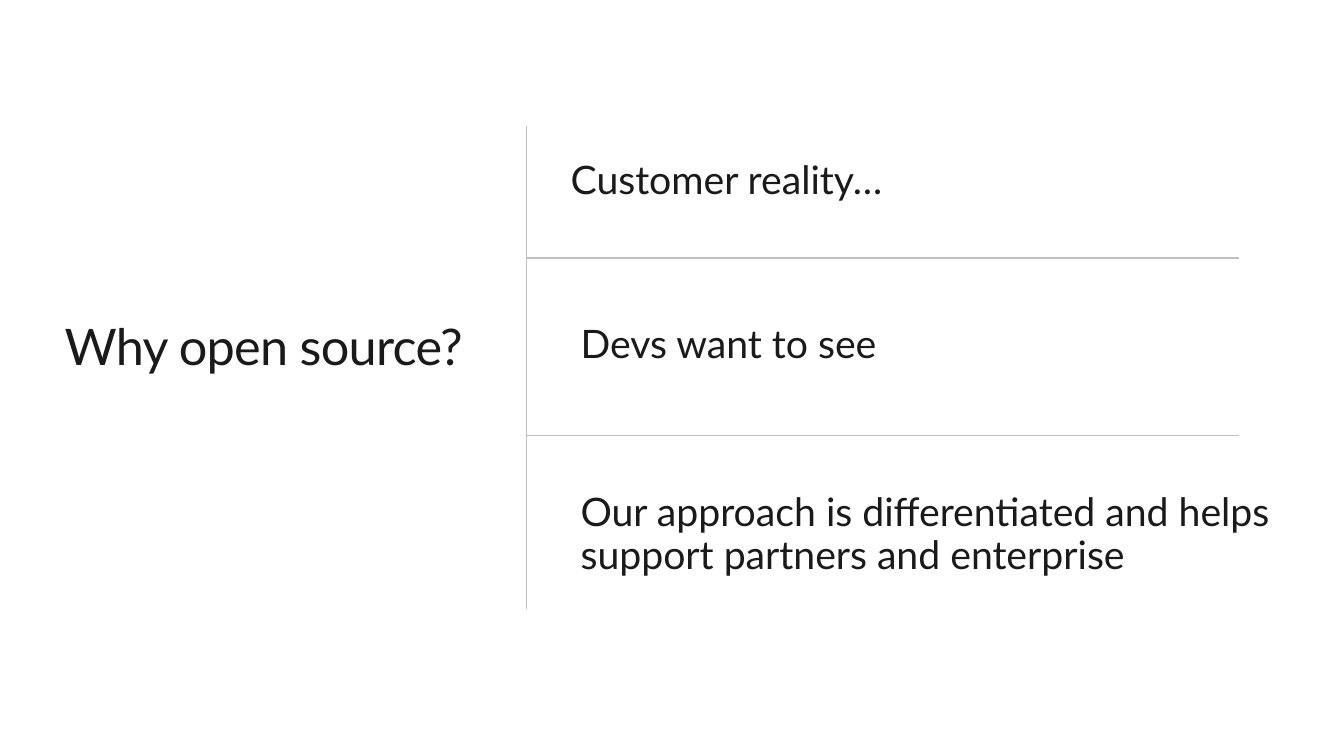
from lxml.etree import SubElement
from pptx import Presentation
from pptx.dml.color import RGBColor
from pptx.enum.shapes import MSO_CONNECTOR
from pptx.enum.text import MSO_ANCHOR, PP_ALIGN
from pptx.oxml.ns import qn
from pptx.util import Inches, Pt

INK = RGBColor(0x1A, 0x1A, 0x1A)
RULE_GREY = RGBColor(0xBF, 0xBF, 0xBF)
FONT = "Lato"
WIDTH, HEIGHT = 13.33, 7.5
RULE_LEFT, RULE_RIGHT = 5.22, 12.29
RULE_TOP, RULE_BOTTOM = 1.25, 6.04
ROW_RULES = (2.56, 4.32)
POINT_LEFT = 5.66
FLUSH = dict.fromkeys(("margin_left", "margin_top", "margin_right", "margin_bottom"), 0)
POINTS = (
    ("Customer reality…", 1.59, 5.68, 0.42, FLUSH),
    ("Devs want to see", 3.17, 3.32, 0.53, {}),
    ("Our approach is differentiated and helps support partners and enterprise",
     4.84, 7.18, 0.97, {}),
)


def apply(target, values):
    for name, value in values.items():
        setattr(target, name, value)


def write(shape, text, size, line_spacing, frame_format):
    frame = shape.text_frame
    apply(frame, {"word_wrap": True, "vertical_anchor": MSO_ANCHOR.TOP, **frame_format})
    paragraph = frame.paragraphs[0]
    apply(paragraph, {"alignment": PP_ALIGN.LEFT, "line_spacing": line_spacing})
    run = paragraph.add_run()
    run.text = text
    apply(run.font, {"name": FONT, "size": Pt(size)})
    run.font.color.rgb = INK
    return run


def add_title(slide, text):
    title = slide.shapes.title
    apply(title, {"left": Inches(0.64), "top": Inches(3.13),
                  "width": Inches(4.5), "height": Inches(0.61)})
    run = write(title, text, 36, 1.0, FLUSH)
    run.font._element.set("spc", "-50")


def add_point(slide, text, top, width, height, frame_format):
    box = slide.shapes.add_textbox(
        Inches(POINT_LEFT), Inches(top), Inches(width), Inches(height))
    write(box, text, 28, 0.9, frame_format)


def add_rule(slide, *ends):
    rule = slide.shapes.add_connector(MSO_CONNECTOR.STRAIGHT, *map(Inches, ends))
    rule.line.color.rgb = RULE_GREY
    rule.line.width = Pt(1)
    SubElement(rule._element.spPr, qn("a:effectLst"))


def main():
    """Build the slide: a title beside three points divided by thin rules."""
    presentation = Presentation()
    apply(presentation, {"slide_width": Inches(WIDTH), "slide_height": Inches(HEIGHT)})
    slide = presentation.slides.add_slide(presentation.slide_layouts[5])
    add_title(slide, "Why open source?")
    for point in POINTS:
        add_point(slide, *point)
    for row in ROW_RULES:
        add_rule(slide, RULE_LEFT, row, RULE_RIGHT, row)
    add_rule(slide, RULE_LEFT, RULE_TOP, RULE_LEFT, RULE_BOTTOM)
    presentation.save("out.pptx")


if __name__ == "__main__":
    main()
